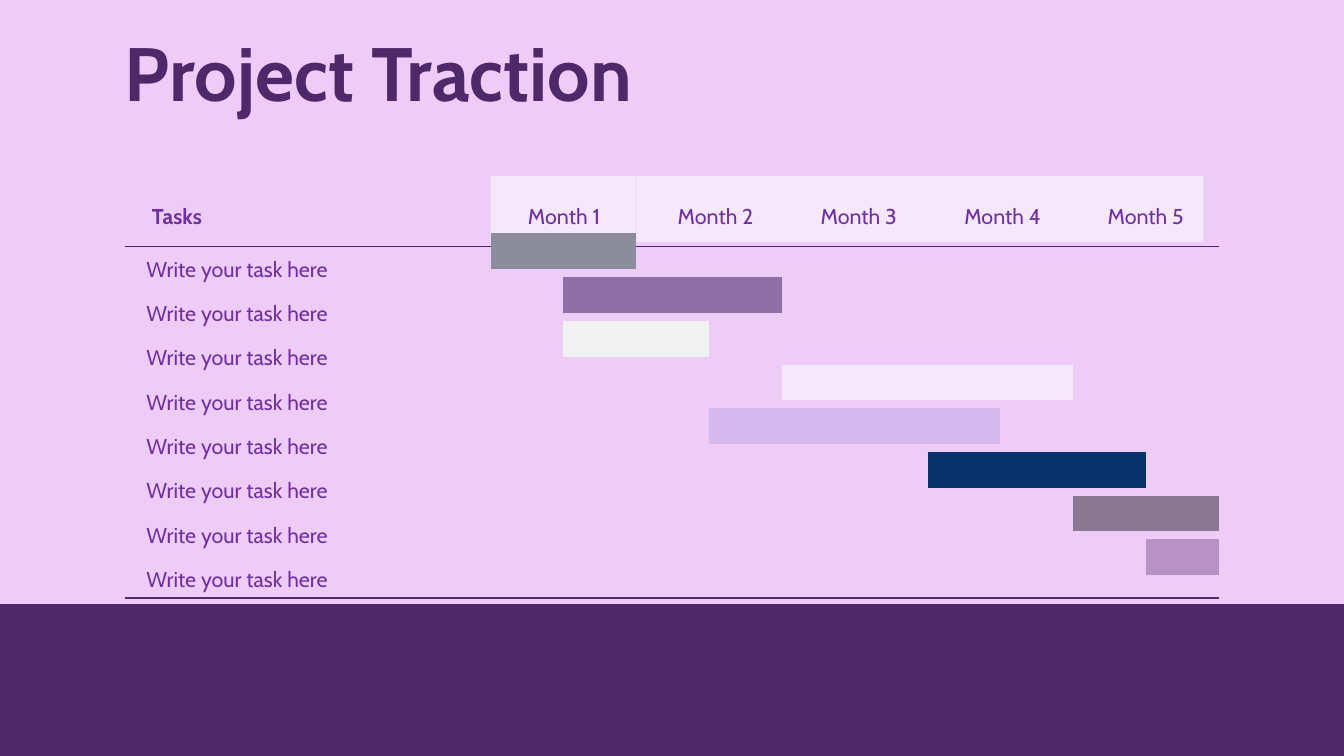
from pptx import Presentation
from pptx.dml.color import RGBColor
from pptx.enum.shapes import MSO_CONNECTOR, MSO_SHAPE
from pptx.enum.text import MSO_AUTO_SIZE, PP_ALIGN
from pptx.oxml.ns import qn
from pptx.util import Inches, Pt

STRAIGHT = MSO_CONNECTOR.STRAIGHT
RECTANGLE = MSO_SHAPE.RECTANGLE
FIT_SHAPE = MSO_AUTO_SIZE.SHAPE_TO_FIT_TEXT
LEFT, CENTER, JUSTIFY = PP_ALIGN.LEFT, PP_ALIGN.CENTER, PP_ALIGN.JUSTIFY

COLORS = {
    "background": "EECCF8",
    "plum": "4D296A",
    "text": "7030A0",
    "pale": "F5E8FB",
    "gray": "8C8C9C",
    "mauve": "8F6FA4",
    "white": "F2F2F2",
    "lilac": "D4BAED",
    "navy": "083169",
    "taupe": "897890",
    "orchid": "B892C4",
}

# The slide is a grid of square cells, one inch each.
GRID_COLUMNS, GRID_ROWS = 20, 11.25
TABLE_LEFT, TABLE_RIGHT = 1.86, 18.14
TIMELINE_LEFT = 7.3
MONTH_WIDTH = (TABLE_RIGHT - TIMELINE_LEFT) / 5
BAR_TOP, BAR_STEP = 3.74, 0.65
TASK_TOP, TASK_STEP = 3.74, 0.66
HEADER_TOP, LABEL_TOP = 2.62, 2.95
BAND_TOP = 8.99

# Month name, left of its header cell, left and width of its label
MONTHS = [
    ("Month 1", 7.3, 7.56, 1.67),
    ("Month 2", 9.47, 9.93, 1.44),
    ("Month 3", 11.58, 12.06, 1.44),
    ("Month 4", 13.73, 14.2, 1.44),
    ("Month 5", 15.75, 16.33, 1.44),
]

# Task name, start and end in months, bar colour
TASKS = [
    ("Write your task here", 0, 1, "gray"),
    ("Write your task here", 0.5, 2, "mauve"),
    ("Write your task here", 0.5, 1.5, "white"),
    ("Write your task here", 3, 5, "pale"),
    ("Write your task here", 1.5, 3.5, "lilac"),
    ("Write your task here", 3, 4.5, "navy"),
    ("Write your task here", 4, 5, "taupe"),
    ("Write your task here", 4.5, 5, "orchid"),
]
TASKS[3] = ("Write your task here", 2, 4, "pale")


class GanttSlide:
    """Holds the text style and the slide being drawn."""

    font = "Cabin"
    text_size = 23
    leading = 32.2

    def __init__(self, deck):
        self.page = deck.slides.add_slide(deck.slide_layouts[6])
        fill = self.page.background.fill
        fill.solid()
        fill.fore_color.rgb = self.color("background")

    def color(self, name):
        return RGBColor.from_string(COLORS[name])

    def line(self, start, end, row, color, width):
        """Draw a horizontal line from one column to another."""
        line = self.page.shapes.add_connector(
            STRAIGHT, Inches(start), Inches(row), Inches(end), Inches(row))
        line.line.color.rgb = self.color(color)
        line.line.width = Pt(width)
        properties = line._element.spPr
        properties.append(properties.makeelement(qn("a:effectLst"), {}))

    def rectangle(self, left, top, width, height, color):
        shape = self.page.shapes.add_shape(
            RECTANGLE, Inches(left), Inches(top), Inches(width), Inches(height))
        shape.shadow.inherit = False
        shape.fill.solid()
        shape.fill.fore_color.rgb = self.color(color)
        shape.line.fill.background()

    def text(self, words, left, top, width, height=0.41, align=JUSTIFY,
             size=text_size, leading=leading, color="text", bold=False):
        box = self.page.shapes.add_textbox(
            Inches(left), Inches(top), Inches(width), Inches(height))
        frame = box.text_frame
        frame.word_wrap = True
        frame.auto_size = FIT_SHAPE
        frame.margin_left = frame.margin_right = 0
        frame.margin_top = frame.margin_bottom = 0
        para = frame.paragraphs[0]
        para.alignment = align
        para.line_spacing = Pt(leading)
        span = para.add_run()
        span.text = words
        span.font.name = self.font
        span.font.size = Pt(size)
        span.font.bold = bold
        span.font.color.rgb = self.color(color)


def main():
    deck = Presentation()
    deck.slide_width = Inches(GRID_COLUMNS)
    deck.slide_height = Inches(GRID_ROWS)
    slide = GanttSlide(deck)

    for row in (3.67, 8.9):
        slide.line(TABLE_LEFT, TABLE_RIGHT, row, "plum", 1.5)

    for name, cell_left, label_left, label_width in MONTHS:
        slide.rectangle(cell_left, HEADER_TOP, 2.16, 0.98, "pale")
    for name, cell_left, label_left, label_width in MONTHS:
        slide.text(name, label_left, LABEL_TOP, label_width, align=CENTER)

    slide.text("Tasks", 2.26, LABEL_TOP, 4.78, bold=True)
    for index, (name, start, end, color) in enumerate(TASKS):
        slide.text(name, 2.18, TASK_TOP + index * TASK_STEP, 4.86)
        slide.line(TIMELINE_LEFT + start * MONTH_WIDTH,
                   TIMELINE_LEFT + end * MONTH_WIDTH,
                   BAR_TOP + index * BAR_STEP, color, 38.25)

    slide.text("Project Traction", TABLE_LEFT, 0.38, 16.11, 1.35, align=LEFT,
               size=81, leading=97.2, color="plum", bold=True)
    slide.rectangle(0, BAND_TOP, GRID_COLUMNS, GRID_ROWS - BAND_TOP, "plum")
    deck.save("out.pptx")


if __name__ == "__main__":
    main()
